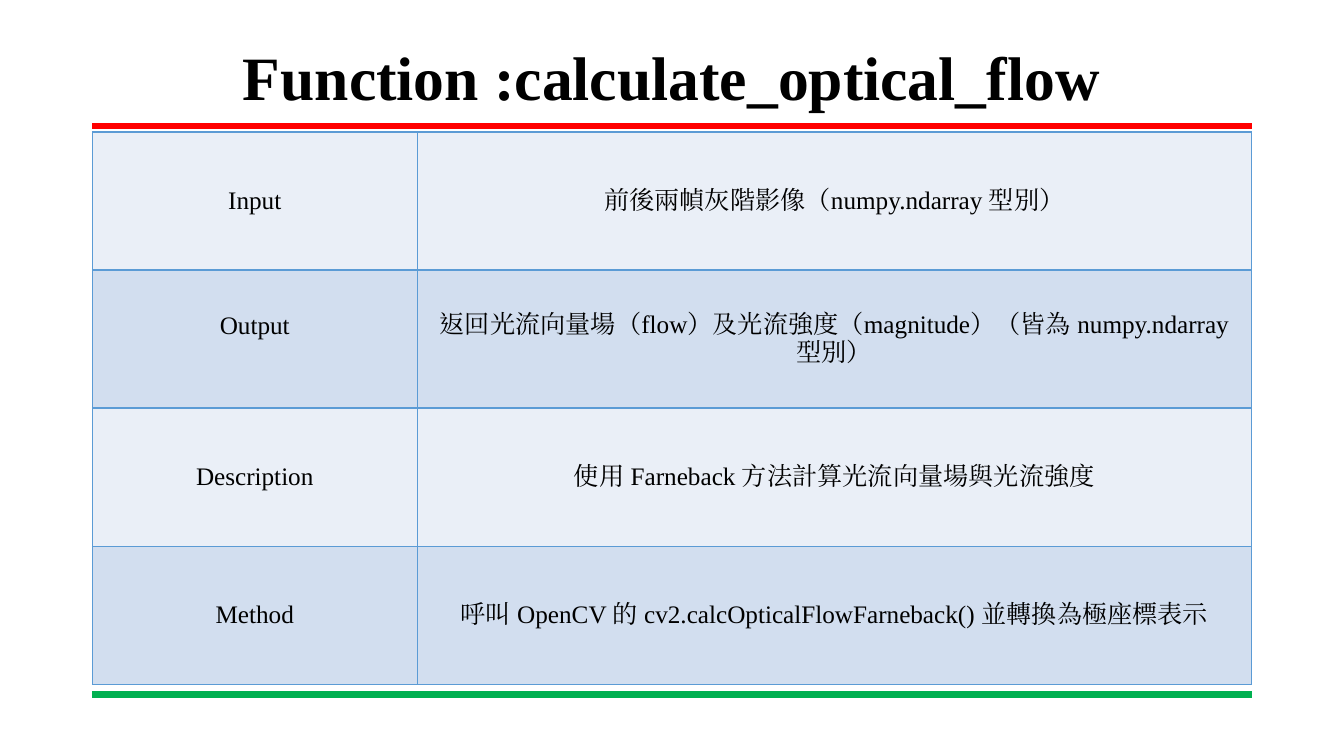
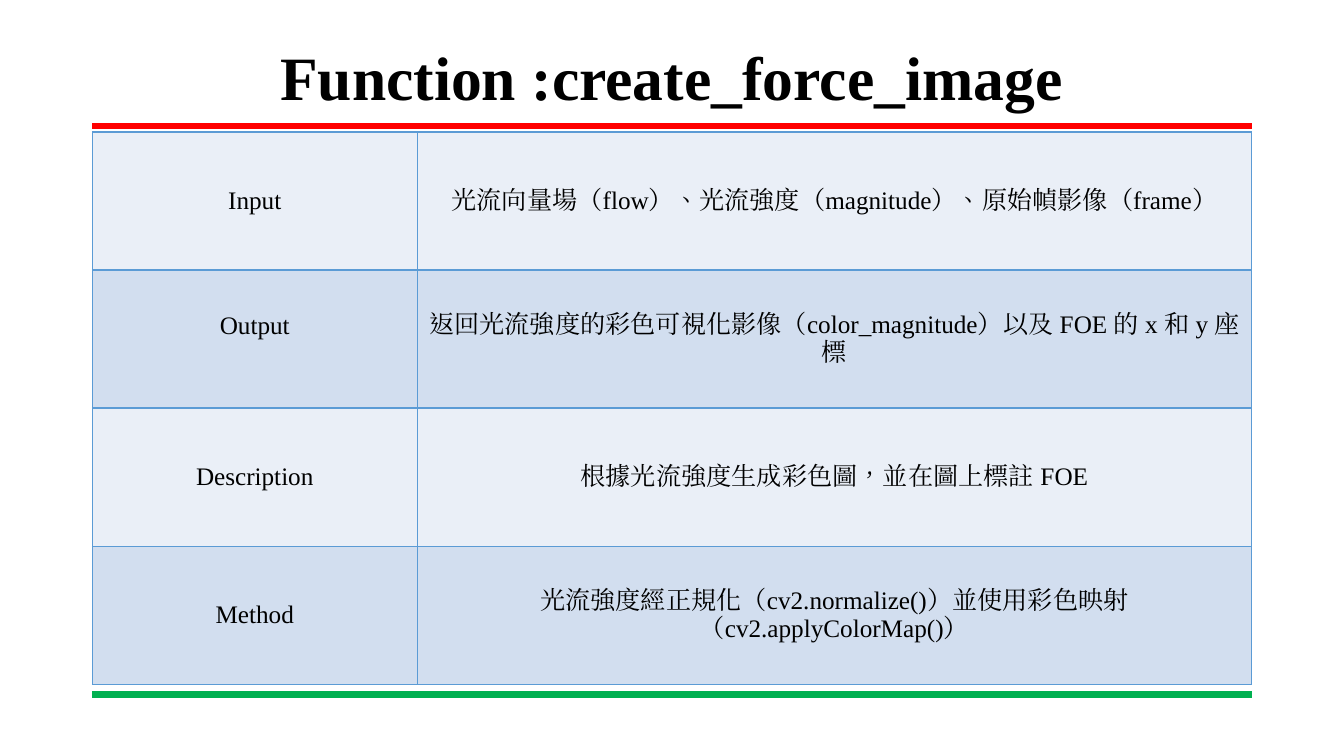
"""Build two slides that describe optical flow functions in tables."""
from lxml.etree import SubElement as Sub
from pptx import Presentation
from pptx.dml.color import RGBColor as Rgb
from pptx.enum.shapes import MSO_CONNECTOR as Conn
from pptx.enum.text import MSO_ANCHOR as Anchor, MSO_AUTO_SIZE as Auto, PP_ALIGN as Align
from pptx.oxml.ns import qn
from pptx.util import Pt

FONT = "Times New Roman"
BLACK, RED, GREEN, BLUE = "000000", "FF0000", "00B050", "5B9BD5"
BANDS = ("EAEFF7", "D2DEEF")
LEFT, WIDTH = 66, 828
COLS = (232, 596)
TOP, ROW = 94.3, 98.6
LABELS = ("Input", "Output", "Description", "Method")
PAGES = (
    ("calculate_optical_flow", (
        "前後兩幀灰階影像（numpy.ndarray 型別）",
        "返回光流向量場（flow）及光流強度（magnitude）（皆為 numpy.ndarray 型別）",
        "使用 Farneback 方法計算光流向量場與光流強度",
        "呼叫 OpenCV 的 cv2.calcOpticalFlowFarneback() 並轉換為極座標表示",
    )),
    ("create_force_image", (
        "光流向量場（flow）、光流強度（magnitude）、原始幀影像（frame）",
        "返回光流強度的彩色可視化影像（color_magnitude）以及 FOE 的 x 和 y 座標",
        "根據光流強度生成彩色圖，並在圖上標註 FOE",
        "光流強度經正規化（cv2.normalize()）並使用彩色映射（cv2.applyColorMap()）",
    )),
)


def paint(item, tint):
    """Give a fill, a line's fill or a font a solid colour from a hex string."""
    if hasattr(item, "solid"):
        item.solid()
        item = item.fore_color
    else:
        item = item.color
    item.rgb = Rgb.from_string(tint)


def write(frame, text, size, bold=False):
    """Write one centred run into a text frame."""
    para = frame.paragraphs[0]
    para.alignment = Align.CENTER
    run = para.add_run()
    run.text = text
    font = run.font
    font.name, font.size, font.bold = FONT, Pt(size), bold
    paint(font, BLACK)
    props = run.font._element
    props.set("lang", "zh-TW")
    Sub(props, qn("a:ea")).set("typeface", FONT)
    return para


def add_rule(slide, layout, y, tint):
    """Draw a horizontal rule and hand it to the layout."""
    rule = slide.shapes.add_connector(
        Conn.STRAIGHT, Pt(LEFT), Pt(y), Pt(LEFT + WIDTH), Pt(y))
    rule.line.width = Pt(4.5)
    paint(rule.line.fill, tint)
    Sub(rule.element.spPr, qn("a:effectLst"))
    layout.shapes.element.append(rule.element)


def add_title(slide, text):
    """Fill the title placeholder."""
    title = slide.shapes.title
    title.left, title.top = Pt(LEFT), Pt(29)
    title.width, title.height = Pt(WIDTH), Pt(57)
    frame = title.text_frame
    frame.auto_size = Auto.NONE
    frame.vertical_anchor = Anchor.MIDDLE
    write(frame, text, 44, True).line_spacing = 0.9


def edge(cell):
    """Draw thin borders on all four sides of a cell."""
    props = cell._tc.get_or_add_tcPr()
    for side in ("lnL", "lnR", "lnT", "lnB"):
        line = Sub(props, qn(f"a:{side}"), w=str(Pt(1)))
        fill = Sub(line, qn("a:solidFill"))
        Sub(fill, qn("a:srgbClr"), val=BLUE)


def add_grid(slide, rows):
    """Add the banded table of labels and texts."""
    grid = slide.shapes.add_table(
        len(rows), len(COLS), Pt(LEFT), Pt(TOP), Pt(WIDTH), Pt(ROW * len(rows))).table
    grid.first_row = grid.horz_banding = False
    for col, width in zip(grid.columns, COLS):
        col.width = Pt(width)
    for i, texts in enumerate(rows):
        grid.rows[i].height = Pt(ROW)
        for j, text in enumerate(texts):
            cell = grid.cell(i, j)
            edge(cell)
            paint(cell.fill, BANDS[i % 2])
            cell.vertical_anchor = Anchor.MIDDLE
            if text == "Output":
                cell.margin_bottom = Pt(22)
            write(cell.text_frame, text, 18)


def main():
    """Build and save the deck."""
    deck = Presentation()
    deck.slide_width, deck.slide_height = Pt(960), Pt(540)
    layout = deck.slide_layouts[5]
    for name, texts in PAGES:
        slide = deck.slides.add_slide(layout)
        add_title(slide, f"Function :{name}")
        add_grid(slide, list(zip(LABELS, texts)))
    for y, tint in ((90, RED), (496, GREEN)):
        add_rule(slide, layout, y, tint)
    deck.save("out.pptx")


if __name__ == "__main__":
    main()
